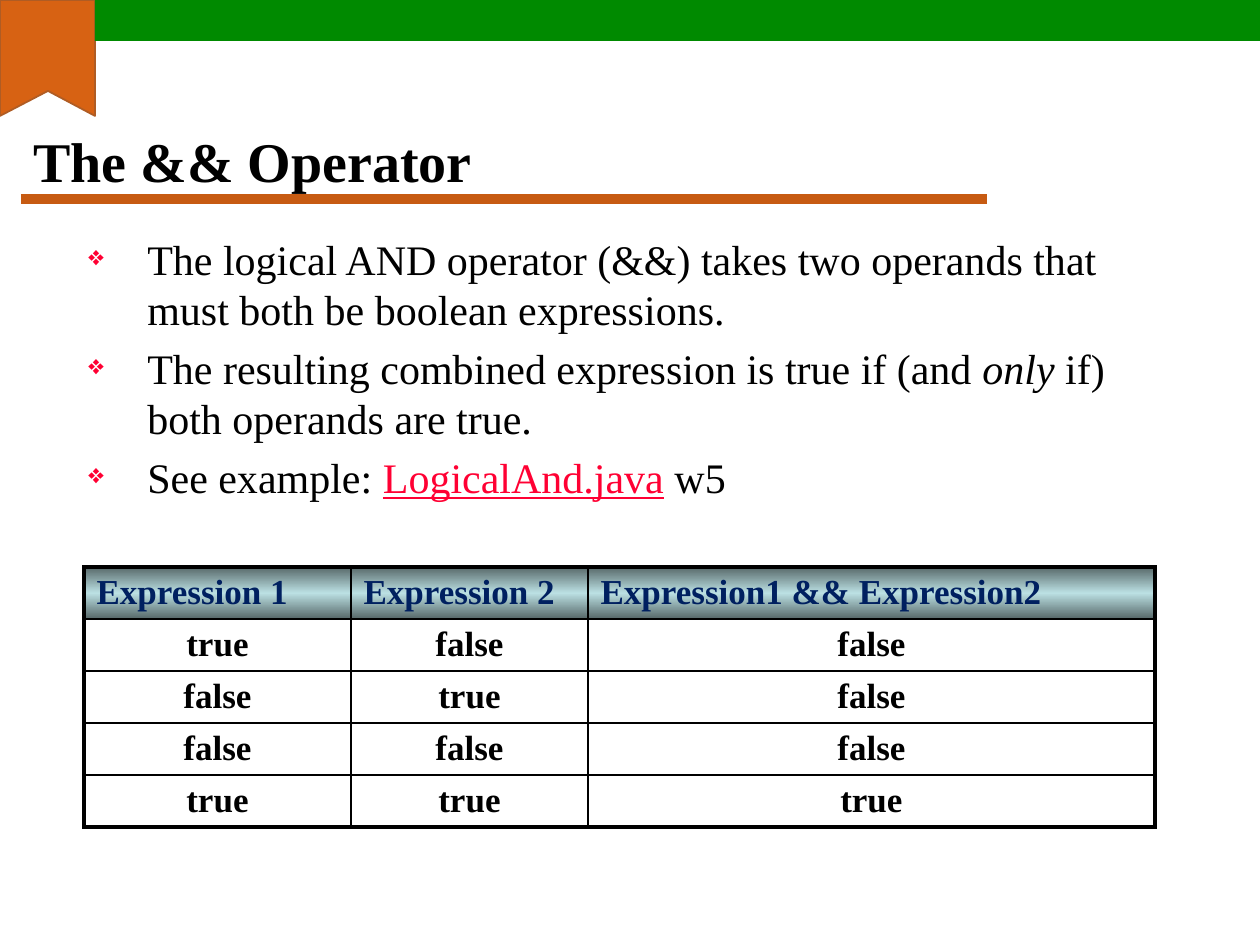
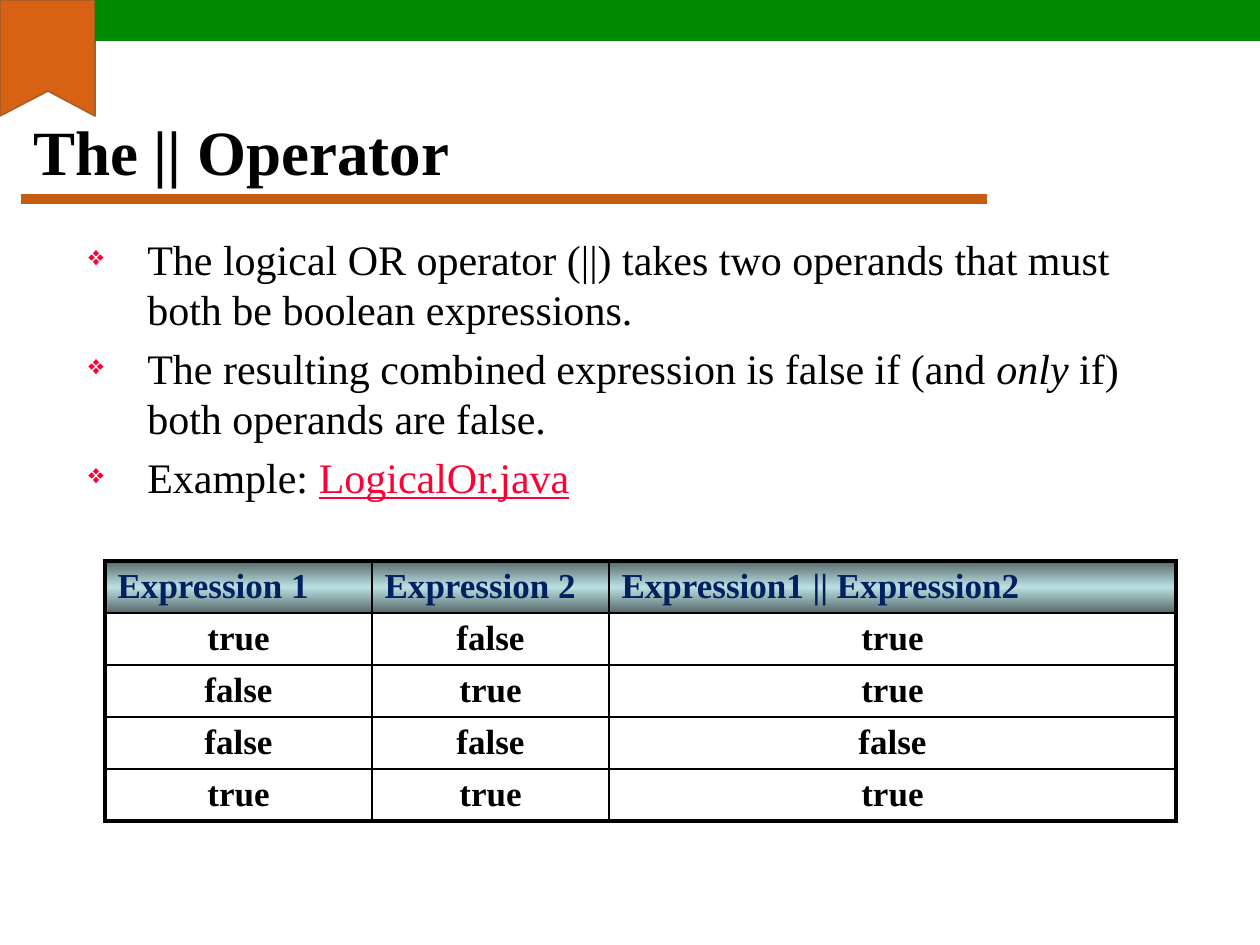
from pptx import Presentation
from pptx.dml.color import RGBColor
from pptx.enum.shapes import MSO_CONNECTOR, MSO_SHAPE
from pptx.enum.text import MSO_ANCHOR, PP_ALIGN
from pptx.oxml import parse_xml
from pptx.oxml.ns import nsdecls
from pptx.util import Emu, Pt

FONT = "Times New Roman"
COLORS = {
    "text": "000000", "accent": "FF0033", "rule": "C75B12",
    "ribbon": "D76213", "ribbon_edge": "AF5C24", "band": "008A00",
    "header_text": "002060", "header_dark": "576869", "header_light": "BBE0E3",
}

# Content: a bullet is a list of (text, format) runs
PLAIN, ITALIC = {}, {"italic": True}
FILE_NAME = {"color": "accent", "underline": True}
SLIDES = [
    {
        "title": "The && Operator", "title_size": 32, "title_top": 126,
        "bullets": [
            [("The logical AND operator (&&) takes two operands that must both be "
              "boolean expressions.", PLAIN)],
            [("The resulting combined expression is true if (and ", PLAIN),
             ("only", ITALIC), (" if) both operands are true.", PLAIN)],
            [("See example: ", PLAIN), ("LogicalAnd.java", FILE_NAME), (" w5", PLAIN)],
        ],
        "table_at": (84, 567),
        "table": [
            ("Expression 1", "Expression 2", "Expression1 && Expression2"),
            ("true", "false", "false"),
            ("false", "true", "false"),
            ("false", "false", "false"),
            ("true", "true", "true"),
        ],
    },
    {
        "title": "The || Operator", "title_size": 36, "title_top": 105,
        "bullets": [
            [("The logical OR operator (||) takes two operands that must both be "
              "boolean expressions.", PLAIN)],
            [("The resulting combined expression is false if (and ", PLAIN),
             ("only", ITALIC), (" if) both operands are false.", PLAIN)],
            [("Example: ", PLAIN), ("LogicalOr.java", FILE_NAME)],
        ],
        "table_at": (105, 561),
        "table": [
            ("Expression 1", "Expression 2", "Expression1 || Expression2"),
            ("true", "false", "true"),
            ("false", "true", "true"),
            ("false", "false", "false"),
            ("true", "true", "true"),
        ],
    },
]

# Layout in px, 126 to the inch
SCALE = 914400 / 126
SLIDE_WIDTH, SLIDE_HEIGHT = 1260, 945
RIBBON_WIDTH, RIBBON_HEIGHT, RIBBON_NOTCH = 95, 116, 91
BAND_HEIGHT = 41
TITLE_LEFT, TITLE_BOTTOM, TITLE_WIDTH = 21, 195, 1134
RULE_Y, RULE_RIGHT = 199, 987
BODY_BOX = (63, 228, 1134, 624)
BULLET_MARGIN, BULLET_INDENT = 72, -59
COLUMN_WIDTHS = (267, 237, 567)
TABLE_HEIGHT = 259
CELL_MARGIN = 5
OUTER_LINE, INNER_LINE = 2.25, 1


def px(length):
    return Emu(round(length * SCALE))


def rgb(name):
    return RGBColor.from_string(COLORS[name])


def add_text(paragraph, text, size=24, color="text", bold=False, italic=False,
             underline=False):
    run = paragraph.add_run()
    run.text = text
    font = run.font
    font.name, font.size, font.color.rgb = FONT, Pt(size), rgb(color)
    font.bold, font.italic, font.underline = bold, italic, underline


def add_text_frame(slide, *box):
    frame = slide.shapes.add_textbox(*map(px, box)).text_frame
    frame.word_wrap = True
    return frame


def add_decoration(slide):
    # Rule under the title
    rule = slide.shapes.add_connector(
        MSO_CONNECTOR.STRAIGHT, px(TITLE_LEFT), px(RULE_Y), px(RULE_RIGHT), px(RULE_Y))
    rule.line.color.rgb, rule.line.width = rgb("rule"), Pt(6)
    rule._element.spPr.append(parse_xml(f"<a:effectLst {nsdecls('a')}/>"))

    # Ribbon with a notched end
    builder = slide.shapes.build_freeform(0, 0, scale=SCALE)
    builder.add_line_segments([
        (RIBBON_WIDTH, 0), (RIBBON_WIDTH, RIBBON_HEIGHT),
        (RIBBON_WIDTH / 2, RIBBON_NOTCH), (0, RIBBON_HEIGHT)])
    ribbon = builder.convert_to_shape()
    ribbon.line.color.rgb, ribbon.line.width = rgb("ribbon_edge"), Pt(1)

    # Band along the top
    band = slide.shapes.add_shape(
        MSO_SHAPE.RECTANGLE, px(RIBBON_WIDTH), 0,
        px(SLIDE_WIDTH - RIBBON_WIDTH), px(BAND_HEIGHT))
    band.line.fill.background()

    for shape, color in ((ribbon, "ribbon"), (band, "band")):
        shape.fill.solid()
        shape.fill.fore_color.rgb = rgb(color)
        shape.shadow.inherit = False


def add_title(slide, text, size, top):
    frame = add_text_frame(slide, TITLE_LEFT, top, TITLE_WIDTH, TITLE_BOTTOM - top)
    frame.vertical_anchor = MSO_ANCHOR.MIDDLE
    add_text(frame.paragraphs[0], text, size=size, bold=True)


def add_bullets(slide, bullets):
    frame = add_text_frame(slide, *BODY_BOX)
    for index, runs in enumerate(bullets):
        paragraph = frame.add_paragraph() if index else frame.paragraphs[0]
        paragraph.line_spacing = Pt(28.6)
        paragraph.space_before = Pt(5 if index else 0)
        properties = paragraph._p.get_or_add_pPr()
        properties.set("marL", str(px(BULLET_MARGIN)))
        properties.set("indent", str(px(BULLET_INDENT)))
        for xml in (
            f'<a:buClr {nsdecls("a")}><a:srgbClr val="{COLORS["accent"]}"/></a:buClr>',
            f'<a:buSzPct {nsdecls("a")} val="65000"/>',
            f'<a:buChar {nsdecls("a")} char="❖"/>',
        ):
            properties.append(parse_xml(xml))
        for text, style in runs:
            add_text(paragraph, text, **style)


def style_cell(cell, is_header, outer_sides):
    properties = cell._tc.get_or_add_tcPr()
    for side in "LRTB":
        width = Pt(OUTER_LINE if side in outer_sides else INNER_LINE)
        properties.append(parse_xml(
            f'<a:ln{side} {nsdecls("a")} w="{width}"><a:solidFill>'
            f'<a:srgbClr val="{COLORS["text"]}"/></a:solidFill></a:ln{side}>'))
    if not is_header:
        cell.fill.background()
        return
    stops = "".join(
        f'<a:gs pos="{position}"><a:srgbClr val="{COLORS[name]}"/></a:gs>'
        for position, name in ((0, "header_dark"), (50000, "header_light"),
                               (100000, "header_dark")))
    properties.append(parse_xml(
        f'<a:gradFill {nsdecls("a")} rotWithShape="1"><a:gsLst>{stops}</a:gsLst>'
        '<a:lin ang="5400000" scaled="1"/></a:gradFill>'))


def add_truth_table(slide, rows, left, top):
    last_row, last_column = len(rows) - 1, len(COLUMN_WIDTHS) - 1
    table = slide.shapes.add_table(
        len(rows), len(COLUMN_WIDTHS), px(left), px(top),
        px(sum(COLUMN_WIDTHS)), px(TABLE_HEIGHT)).table
    table.first_row = table.horz_banding = False
    for column, width in zip(table.columns, COLUMN_WIDTHS):
        column.width = px(width)
    for row_index, values in enumerate(rows):
        table.rows[row_index].height = px(TABLE_HEIGHT / len(rows))
        is_header = row_index == 0
        for column_index, value in enumerate(values):
            cell = table.cell(row_index, column_index)
            cell.vertical_anchor = MSO_ANCHOR.MIDDLE
            cell.margin_top = cell.margin_bottom = px(CELL_MARGIN)
            edges = {"L": column_index == 0, "R": column_index == last_column,
                     "T": is_header, "B": row_index == last_row}
            style_cell(cell, is_header, [side for side in edges if edges[side]])
            paragraph = cell.text_frame.paragraphs[0]
            paragraph.alignment = PP_ALIGN.LEFT if is_header else PP_ALIGN.CENTER
            add_text(paragraph, value, size=20, bold=True,
                     color="header_text" if is_header else "text")


def main():
    presentation = Presentation()
    presentation.slide_width, presentation.slide_height = px(SLIDE_WIDTH), px(SLIDE_HEIGHT)
    for content in SLIDES:
        slide = presentation.slides.add_slide(presentation.slide_layouts[6])
        add_decoration(slide)
        add_title(slide, content["title"], content["title_size"], content["title_top"])
        add_bullets(slide, content["bullets"])
        add_truth_table(slide, content["table"], *content["table_at"])
    presentation.save("out.pptx")


if __name__ == "__main__":
    main()
